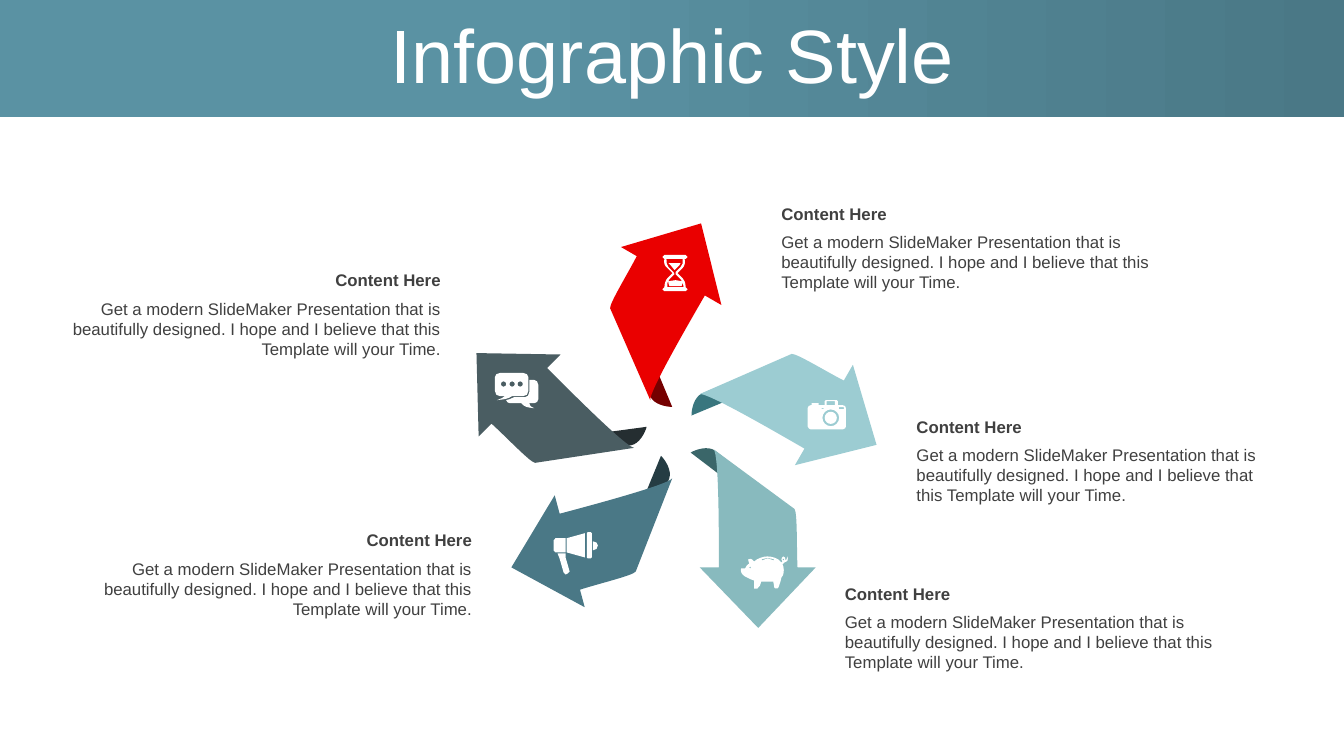
from pptx import Presentation
from pptx.dml.color import RGBColor
from pptx.enum.shapes import MSO_SHAPE
from pptx.enum.text import MSO_ANCHOR, MSO_AUTO_SIZE, PP_ALIGN
from pptx.oxml.ns import qn
from pptx.util import Inches, Pt

# Content
TITLE = "Infographic Style"
HEADING = "Content Here"
BODY = ("Get a modern SlideMaker Presentation that is beautifully designed. "
        "I hope and I believe that this Template will your Time.")
COLORS = {
    "banner_start": "5A92A3", "banner_end": "4A7886", "white": "FFFFFF", "text": "404040",
    "red": "EA0000", "red_fold": "750000", "sky": "9CCCD2", "sky_fold": "39767E",
    "sage": "88BABE", "sage_fold": "3A6669", "blue": "4A7886", "blue_fold": "253C43",
    "slate": "4A5D62", "slate_fold": "252E31",
}
# Arrow color, rotation, fold corner, arrow corner (inches)
ARROWS = [
    ("red", 210, (5.86, 3.23), (5.94, 2.1)),
    ("sky", 300, (6.84, 3.5), (7.35, 3.09)),
    ("sage", 0, (6.85, 4.44), (6.94, 4.46)),
    ("blue", 75, (5.92, 4.76), (5.35, 4.51)),
    ("slate", 135, (5.36, 4.08), (4.78, 3.24)),
]
# Left, top, width (inches), alignment
CAPTIONS = [
    (7.75, 1.97, 3.77, PP_ALIGN.LEFT),
    (9.09, 4.08, 3.63, PP_ALIGN.LEFT),
    (0.65, 2.63, 3.82, PP_ALIGN.RIGHT),
    (0.96, 5.21, 3.82, PP_ALIGN.RIGHT),
    (8.38, 5.74, 3.77, PP_ALIGN.LEFT),
]
HEADING_HEIGHT, BODY_OFFSET, BODY_HEIGHT = 0.3, 0.28, 0.71

# Outlines in hundredths of an inch: M move, L line, C curve, Z close,
# O circle (center x, center y, radius)
FOLD = "M 24 3 C 17 -2 5 2 0 5 L 80 66 L 101 62 Z"
ARROW = """M 14 0 L 94 59 C 97 63 96 98 97 117 L 115 117 L 58 177 L 0 117
    L 19 117 C 19 79 19 7 14 0 Z"""
CHAT = """O 25 11 2.7 O 17 11 2.7 O 8.5 11 2.7
    M 34 7 L 39 7 C 41 7 43 9 43 12 L 43 26 C 43 28 41 30 39 30 L 34 30
    C 35 32 34 33 39 35 C 31 34 30 34 26 30 L 15 30 C 13 30 12 29 11 27
    C 14 27 16 25 19 24 L 30 24 C 32 24 34 22 34 19 Z
    M 5 0 L 28 0 C 31 0 33 2 33 4 L 33 18 C 33 21 31 23 28 23 L 17 23
    C 12 26 10 26 2 27 C 7 25 7 25 10 23 L 5 23 C 2 23 0 21 0 18 L 0 4 C 0 2 2 0 5 0 Z"""
HOURGLASS = """M 13 25 L 19 26 L 20 28 L 19 31 L 7 31 L 6 28 L 6 26 Z
    M 6 8 L 18 8 L 17 10 L 12 15 L 8 10 Z
    M 4 4 C 4 7 4 10 6 12 L 11 17 L 12 19 L 7 24 C 5 26 4 29 5 32 L 21 32
    C 21 29 20 26 18 24 L 13 19 L 13 17 L 18 12 C 20 10 21 7 20 4 Z
    M 2 0 L 23 0 L 25 2 L 23 4 L 22 4 C 23 7 22 11 20 13 L 15 18 L 20 23
    C 22 25 23 28 23 32 L 25 34 L 23 36 L 2 36 L 0 34 L 2 32
    C 2 29 3 25 5 23 L 10 18 L 5 13 C 2 11 1 7 2 4 L 0 2 Z"""
MEGAPHONE = """M 12 21 L 12 25 L 16 39 L 14 41 L 12 42 L 10 40 L 6 26 L 4 21 Z
    M 39 9 C 42 9 44 11 44 13 C 44 16 42 18 39 18 Z
    M 2 6 L 12 6 L 12 20 L 2 20 L 0 18 L 0 8 Z M 31 1 L 31 25 L 13 20 L 13 6 Z
    M 34 0 L 37 0 L 38 1 L 38 25 L 37 26 L 34 26 L 33 25 L 33 1 Z"""
CAMERA = """O 23 17.5 6 O 23 17.5 8.3 M 14 8 L 14 9 L 16 9 L 16 8 Z
    M 31 7 L 31 9 L 36 9 L 36 7 Z M 19 1 L 19 5 L 27 5 L 27 1 Z
    M 18 0 L 29 0 L 30 1 L 30 5 L 35 5 C 37 5 38 6 38 8 L 38 26
    C 38 27 37 29 35 29 L 3 29 C 2 29 0 27 0 26 L 0 8 C 0 6 2 5 3 5 L 4 5 L 4 3
    L 11 3 L 11 5 L 17 5 L 17 1 Z"""
PIG = """M 9 11 L 10 10 L 11 11 L 10 12 Z M 42 3 L 43 2 L 44 3 L 43 4 Z
    M 27 2 C 25 2 23 2 21 3 L 22 4 C 25 2 30 2 33 4 L 34 3 C 32 2 30 2 27 2 Z
    M 27 0 C 32 0 38 2 40 5 L 41 6 L 42 5 L 41 3 C 41 2 42 0 43 0
    C 45 0 45 2 45 4 L 46 3 L 47 0 C 48 4 47 5 44 6 L 42 8 L 43 10
    C 44 15 43 19 41 21 C 40 26 39 28 38 31 C 38 32 34 32 34 31 L 33 25
    L 21 25 C 21 28 19 30 17 32 L 14 32 L 14 24 C 9 22 -1 19 1 12
    L 5 12 C 6 10 7 8 9 7 L 8 3 C 12 1 12 4 14 5 C 17 2 23 0 27 0 Z"""
ICONS = [(CHAT, (4.91, 3.7)), (HOURGLASS, (6.57, 2.53)), (MEGAPHONE, (5.49, 5.28)),
         (CAMERA, (8.01, 3.97)), (PIG, (7.34, 5.52))]
QUARTER_CURVE = 0.55  # handle length of a quarter circle, as a share of the radius


def rgb(name):
    return RGBColor.from_string(COLORS[name])


def circle_points(x, y, radius):
    points = [(x + radius, y)]
    for ux, uy in [(1, 0), (0, 1), (-1, 0), (0, -1)]:
        vx, vy = -uy, ux
        for u, v in [(1, QUARTER_CURVE), (QUARTER_CURVE, 1), (0, 1)]:
            points.append((x + radius * (u * ux + v * vx), y + radius * (u * uy + v * vy)))
    return points


def read_outline(outline):
    """Return the points of each contour, and the segment kinds in order."""
    tokens = iter(outline.split())

    def point():
        return float(next(tokens)), float(next(tokens))

    contours, kinds = [], []
    for command in tokens:
        if command == "M":
            contours.append([point()])
        elif command == "L":
            contours[-1].append(point())
            kinds.append("line")
        elif command == "C":
            contours[-1].extend(point() for _ in range(3))
            kinds.append("curve")
        elif command == "O":
            contours.append(circle_points(*point(), float(next(tokens))))
            kinds.extend(["curve"] * 4)
    return contours, kinds


def add_outline(slide, outline, corner, color):
    contours, kinds = read_outline(outline)
    builder = None
    for contour in contours:
        start, *rest = [(Inches(x / 100), Inches(y / 100)) for x, y in contour]
        if builder is None:
            builder = slide.shapes.build_freeform(*start, scale=1.0)
        else:
            builder.move_to(*start)
        builder.add_line_segments(rest, close=True)
    shape = builder.convert_to_shape(*map(Inches, corner))
    # Join three points into one curve segment
    segments = iter(list(shape.element.iter(qn("a:lnTo"))))
    for kind in kinds:
        segment = next(segments)
        if kind == "curve":
            for extra in (next(segments), next(segments)):
                segment.append(extra[0])
                extra.getparent().remove(extra)
            segment.tag = qn("a:cubicBezTo")
    shape.shadow.inherit = False
    shape.fill.solid()
    shape.fill.fore_color.rgb = rgb(color)
    shape.line.fill.background()
    return shape


def add_text(slide, box, text, color, size, frame_format, paragraph_format, bold=False):
    frame = slide.shapes.add_textbox(*map(Inches, box)).text_frame
    for name, value in {"word_wrap": True, **frame_format}.items():
        setattr(frame, name, value)
    paragraph = frame.paragraphs[0]
    paragraph.text = text
    for name, value in paragraph_format.items():
        setattr(paragraph, name, value)
    font = paragraph.runs[0].font
    for name, value in {"name": "Arial", "size": Pt(size), "bold": bold}.items():
        setattr(font, name, value)
    font.color.rgb = rgb(color)


def main():
    presentation = Presentation()
    presentation.slide_width, presentation.slide_height = Inches(13.33), Inches(7.5)
    slide = presentation.slides.add_slide(presentation.slide_layouts[6])

    # Banner and title
    banner = slide.shapes.add_shape(MSO_SHAPE.RECTANGLE, 0, 0,
                                    presentation.slide_width, Inches(1.16))
    banner.shadow.inherit = False
    banner.line.fill.background()
    banner.fill.gradient()
    banner.fill.gradient_angle = 0
    stops = [(0.38, "banner_start"), (1, "banner_end")]
    for stop, (position, color) in zip(banner.fill.gradient_stops, stops):
        stop.position = position
        stop.color.rgb = rgb(color)
    add_text(slide, (0.34, 0.19, 12.66, 0.79), TITLE, "white", 54,
             {"vertical_anchor": MSO_ANCHOR.MIDDLE},
             {"alignment": PP_ALIGN.CENTER, "line_spacing": 0.9})

    # Wheel of folded arrows
    for color, rotation, fold_corner, arrow_corner in ARROWS:
        add_outline(slide, FOLD, fold_corner, color + "_fold").rotation = rotation
        add_outline(slide, ARROW, arrow_corner, color).rotation = rotation

    # Captions
    caption_format = {"margin_left": 0, "auto_size": MSO_AUTO_SIZE.SHAPE_TO_FIT_TEXT}
    for left, top, width, alignment in CAPTIONS:
        add_text(slide, (left, top, width, HEADING_HEIGHT), HEADING, "text", 12,
                 {**caption_format, "vertical_anchor": MSO_ANCHOR.MIDDLE},
                 {"alignment": alignment}, bold=True)
        add_text(slide, (left, top + BODY_OFFSET, width, BODY_HEIGHT), BODY, "text", 12,
                 caption_format, {"alignment": alignment})

    # Icons
    for outline, corner in ICONS:
        add_outline(slide, outline, corner, "white")

    presentation.save("out.pptx")


if __name__ == "__main__":
    main()
